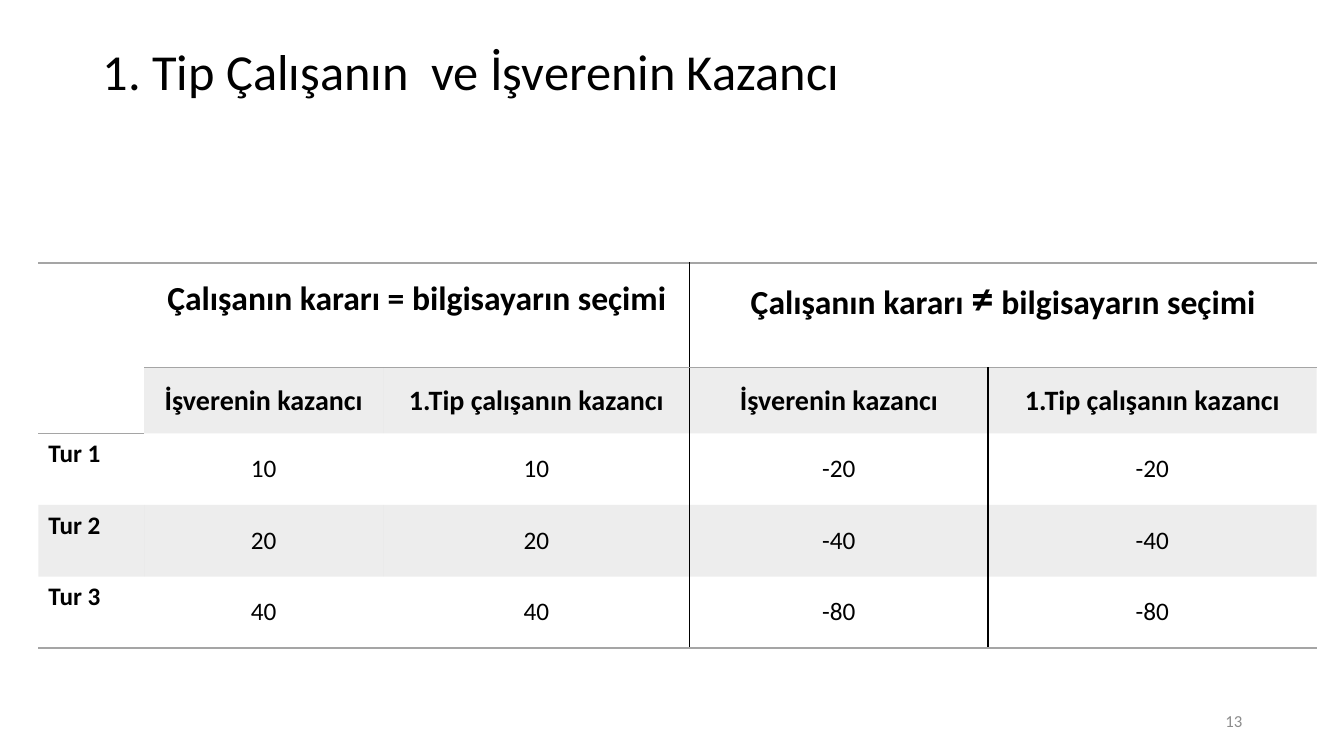
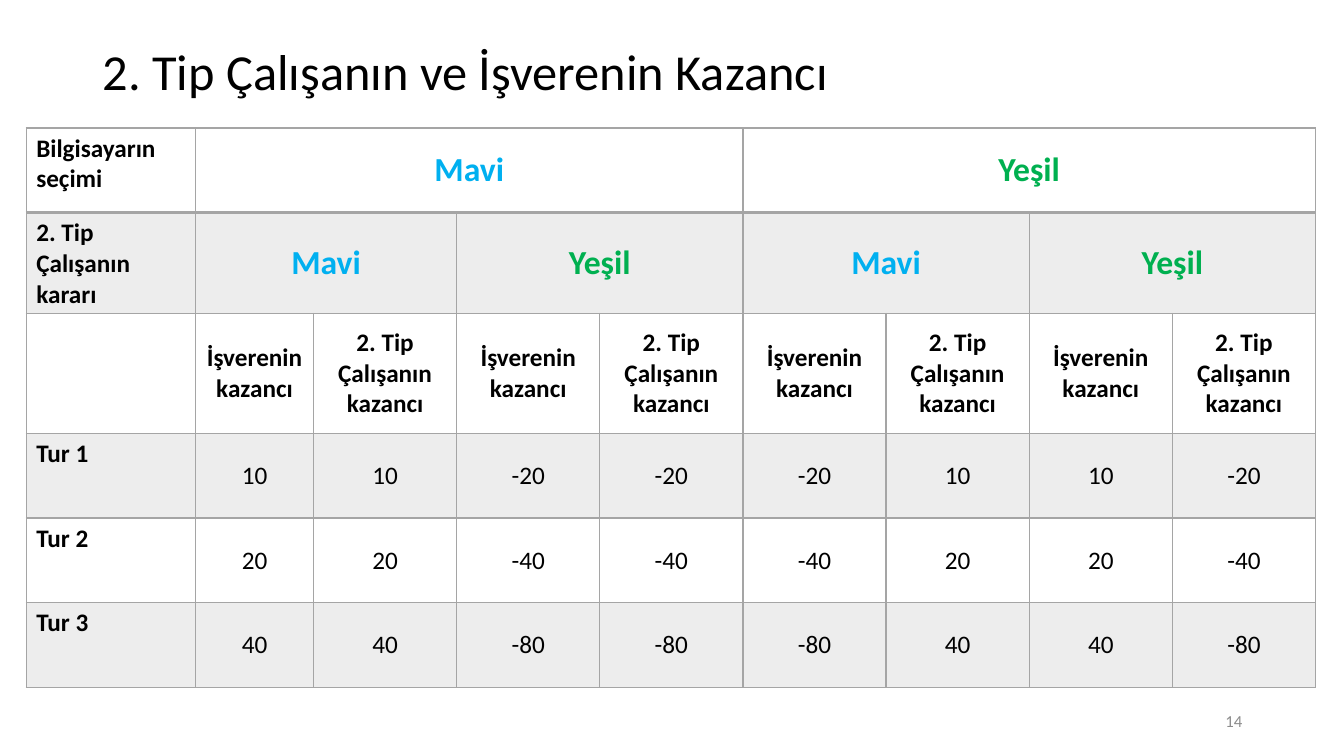
from lxml.etree import SubElement
from pptx import Presentation
from pptx.dml.color import RGBColor
from pptx.enum.text import MSO_ANCHOR, PP_ALIGN
from pptx.oxml import parse_xml
from pptx.oxml.ns import nsdecls, qn
from pptx.util import Inches, Pt

FONT = "Calibri"
BLACK, GREY, FOOTER_GREY = "000000", "A5A5A5", "8C8C8C"
WORD_COLOURS = {"Mavi": "00B0F0", "Yeşil": "00B050"}
PLAIN_TABLE_STYLE = "{2D5ABB26-0587-4C30-8999-92F81FD0307C}"
GREY_LINE, BLACK_LINE, HEAVY_LINE = (GREY, 1), (BLACK, 1), (GREY, 2)

TITLE_BOX = (0.92, 0.4, 11.5, 0.67)
NUMBER_BOX = (9.42, 6.95, 3, 0.4)
TITLE_FORMAT = {"size": 36, "bold": False, "colour": BLACK}
NUMBER_FORMAT = {"size": 12, "bold": False, "colour": FOOTER_GREY}


def colour(value):
    return RGBColor.from_string(value)


def add_span(para, text, values):
    span = para.add_run()
    span.text = text
    settings = {"name": FONT, "size": Pt(values["size"]), "bold": values["bold"]}
    for name, value in settings.items():
        setattr(span.font, name, value)
    span.font.color.rgb = colour(values["colour"])


# Shared slide parts
def add_text(page, box, text, values, align=PP_ALIGN.LEFT, spacing=1.0):
    frame = page.shapes.add_textbox(*map(Inches, box)).text_frame
    frame.word_wrap = True
    frame.vertical_anchor = MSO_ANCHOR.MIDDLE
    para = frame.paragraphs[0]
    para.alignment, para.line_spacing = align, spacing
    add_span(para, text, values)


def add_page(deck, title, number):
    page = deck.slides.add_slide(deck.slide_layouts[6])
    add_text(page, TITLE_BOX, title, TITLE_FORMAT, spacing=0.9)
    add_text(page, NUMBER_BOX, number, NUMBER_FORMAT, align=PP_ALIGN.RIGHT)
    return page


# Table cells
def shade(cell, shaded):
    if not shaded:
        cell.fill.background()
        return
    cell.fill.solid()
    cell.fill.fore_color.rgb = colour(GREY)
    tint = cell._tc.get_or_add_tcPr().find(qn("a:solidFill")).find(qn("a:srgbClr"))
    SubElement(tint, qn("a:alpha")).set("val", "20000")


def draw_borders(cell, lines):
    properties = cell._tc.get_or_add_tcPr()
    sides = [side for side in "LRTB" if side in lines]
    for position, side in enumerate(sides):
        line_colour, width = lines[side]
        properties.insert(position, parse_xml(
            f'<a:ln{side} {nsdecls("a")} w="{Pt(width)}"><a:solidFill>'
            f'<a:srgbClr val="{line_colour}"/></a:solidFill></a:ln{side}>'))


def write_cell(cell, text, values, heading):
    para = cell.text_frame.paragraphs[0]
    if not heading:
        cell.vertical_anchor = MSO_ANCHOR.MIDDLE
        para.alignment = PP_ALIGN.CENTER
    values = {**values, "colour": WORD_COLOURS.get(text, BLACK)}
    before, sign, after = text.partition("≠")
    for part, size in ((before, values["size"]), (sign, 32), (after, values["size"])):
        if part:
            add_span(para, part, {**values, "size": size})


def add_grid(page, corner, widths, heights, rows, spans, shaded_rows, formats, lines_for):
    """spans maps (row, column) to (row count, column count)."""
    size = (sum(widths), sum(heights))
    table = page.shapes.add_table(
        len(rows), len(widths), *map(Inches, (*corner, *size))).table
    table._tbl.tblPr.find(qn("a:tableStyleId")).text = PLAIN_TABLE_STYLE
    table.first_row = table.horz_banding = False
    for column, width in zip(table.columns, widths):
        column.width = Inches(width)
    for row, height in zip(table.rows, heights):
        row.height = Inches(height)

    covered = set()
    for top, texts in enumerate(rows):
        for left, text in enumerate(texts):
            if (top, left) in covered:
                continue
            down, across = spans.get((top, left), (1, 1))
            region = [(top + i, left + j) for i in range(down) for j in range(across)]
            covered.update(region)
            cell = table.cell(top, left)
            if len(region) > 1:
                cell.merge(table.cell(*region[-1]))
            values = formats[top]
            if left == 0:
                values = {"size": 18, "bold": True}
            if text:
                write_cell(cell, text, values, heading=left == 0)
            for place in region:
                part = table.cell(*place)
                shade(part, top in shaded_rows)
                draw_borders(part, lines_for(top, left, left + across - 1))
    return table


# Slide 13: first worker type
def first_type_lines(row, left, right):
    lines = {}
    if row == 0:
        lines.update(T=GREY_LINE, B=GREY_LINE)
    if row == 4:
        lines["B"] = GREY_LINE
    if left == 3 or (left == 4 and row > 0):
        lines["L"] = BLACK_LINE
    if right == 2 or (right == 3 and row > 0):
        lines["R"] = BLACK_LINE
    return lines


def add_first_type(deck):
    page = add_page(deck, "1. Tip Çalışanın  ve İşverenin Kazancı", "13")
    rows = [
        ["", "Çalışanın kararı = bilgisayarın seçimi", "",
         "Çalışanın kararı ≠ bilgisayarın seçimi", ""],
        [""] + ["İşverenin kazancı", "1.Tip çalışanın kazancı"] * 2,
    ]
    for turn, gain in enumerate((10, 20, 40), 1):
        rows.append([f"Tur {turn}"] + [str(gain)] * 2 + [str(-2 * gain)] * 2)
    table = add_grid(
        page, (0.38, 2.61), [1.05, 2.37, 3.04, 2.96, 3.26], [1.04, 0.65] + [0.71] * 3,
        rows, {(0, 0): (2, 1), (0, 1): (1, 2), (0, 3): (1, 2)}, {1, 3},
        [{"size": 24, "bold": True}, {"size": 20, "bold": True}]
        + [{"size": 18, "bold": False}] * 3,
        first_type_lines)
    # Raise the two group headings above the middle of their row
    for column in (1, 3):
        table.cell(0, column).margin_bottom = Inches(0.38)


# Slide 14: second worker type
def second_type_lines(row, left, right):
    lines = dict.fromkeys("LRTB", GREY_LINE)
    if row == 0:
        lines["B"] = HEAVY_LINE
    return lines


def add_second_type(deck):
    page = add_page(deck, "2. Tip Çalışanın ve İşverenin Kazancı", "14")
    rows = [
        ["Bilgisayarın seçimi", "Mavi", "", "", "", "Yeşil", "", "", ""],
        ["2. Tip Çalışanın kararı"] + ["Mavi", "", "Yeşil", ""] * 2,
        [""] + ["İşverenin kazancı", "2. Tip Çalışanın kazancı"] * 4,
    ]
    factors = (1, 1, -2, -2, -2, 1, 1, -2)
    for turn, gain in enumerate((10, 20, 40), 1):
        rows.append([f"Tur {turn}"] + [str(gain * factor) for factor in factors])
    spans = {(0, column): (1, 4) for column in (1, 5)}
    spans.update({(1, column): (1, 2) for column in (1, 3, 5, 7)})
    add_grid(
        page, (0.26, 1.27), [1.68, 1.17] + [1.42] * 7, [0.84, 0.84, 1.19] + [0.84] * 3,
        rows, spans, {1, 3, 5},
        [{"size": 24, "bold": True}] * 2 + [{"size": 18, "bold": True}]
        + [{"size": 18, "bold": False}] * 3,
        second_type_lines)


def main():
    deck = Presentation()
    deck.slide_width, deck.slide_height = Inches(13.33), Inches(7.5)
    add_first_type(deck)
    add_second_type(deck)
    deck.save("out.pptx")


if __name__ == "__main__":
    main()
